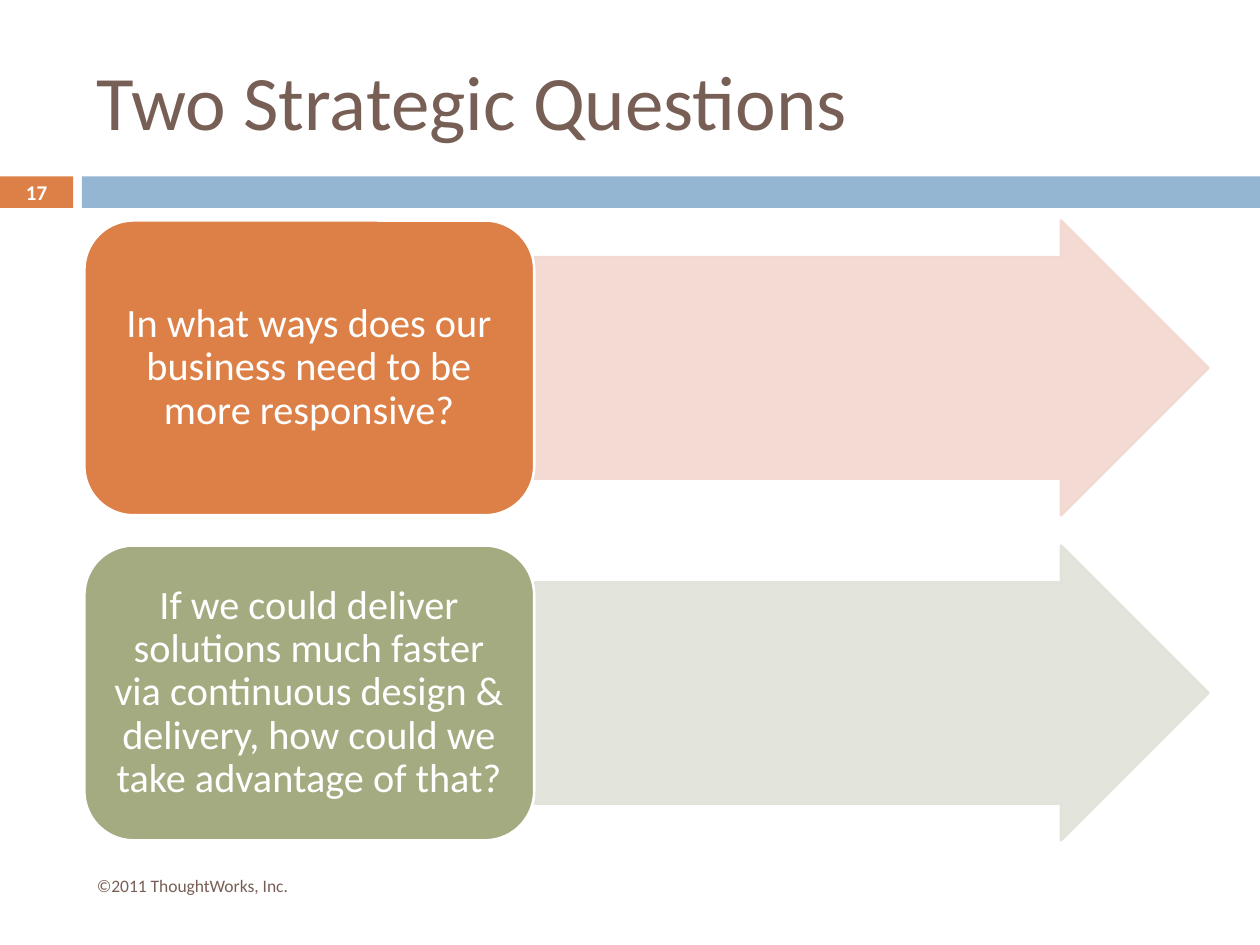
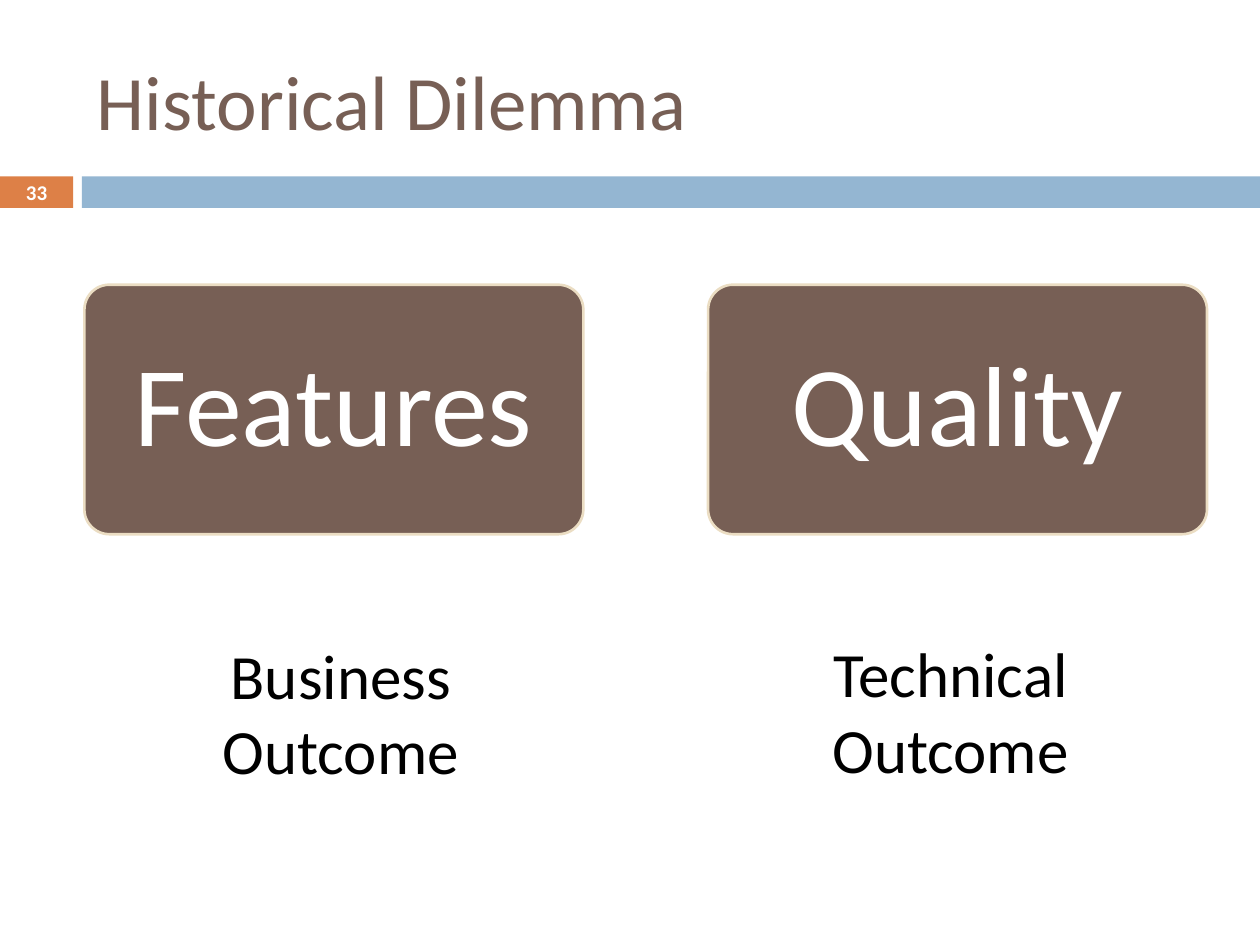
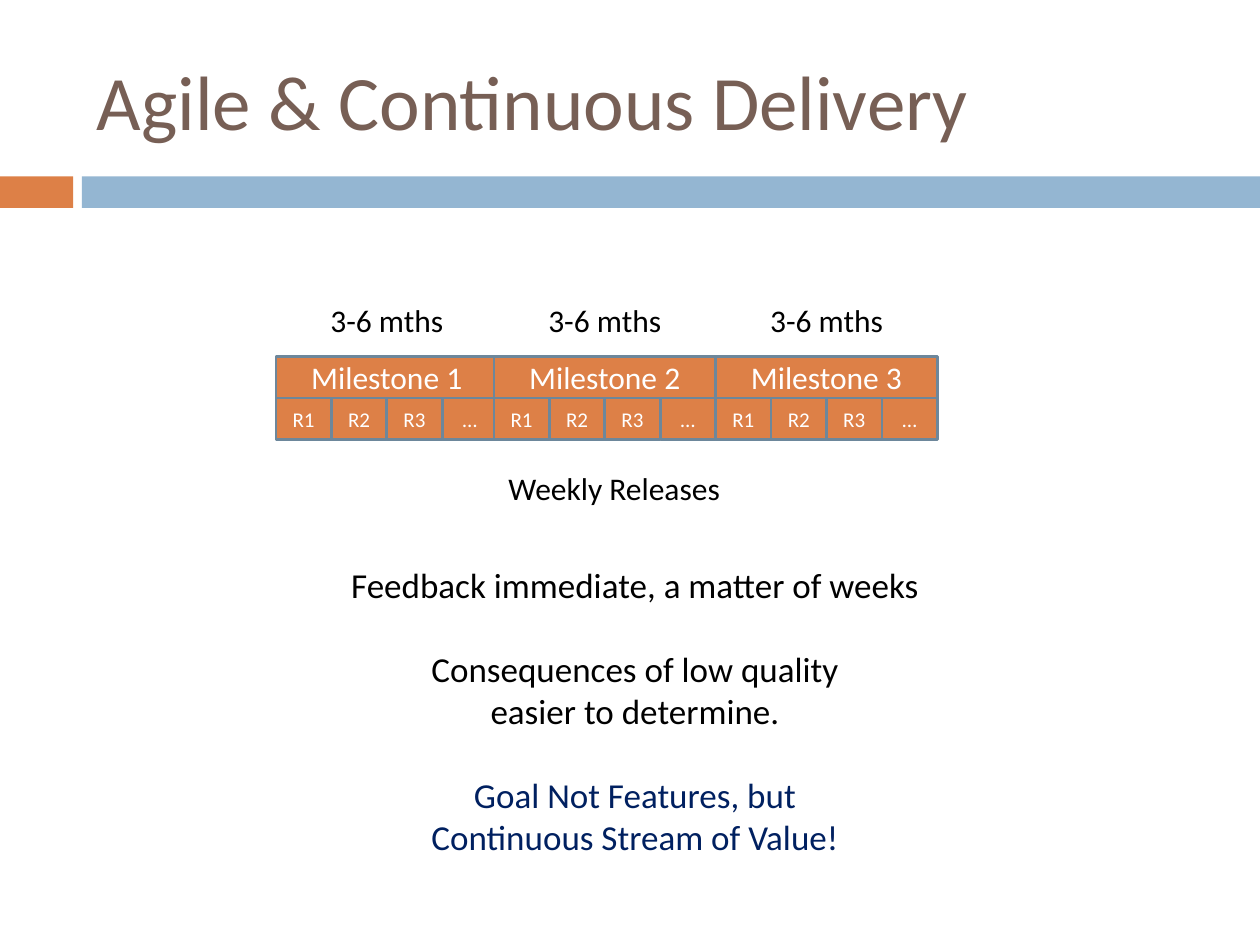
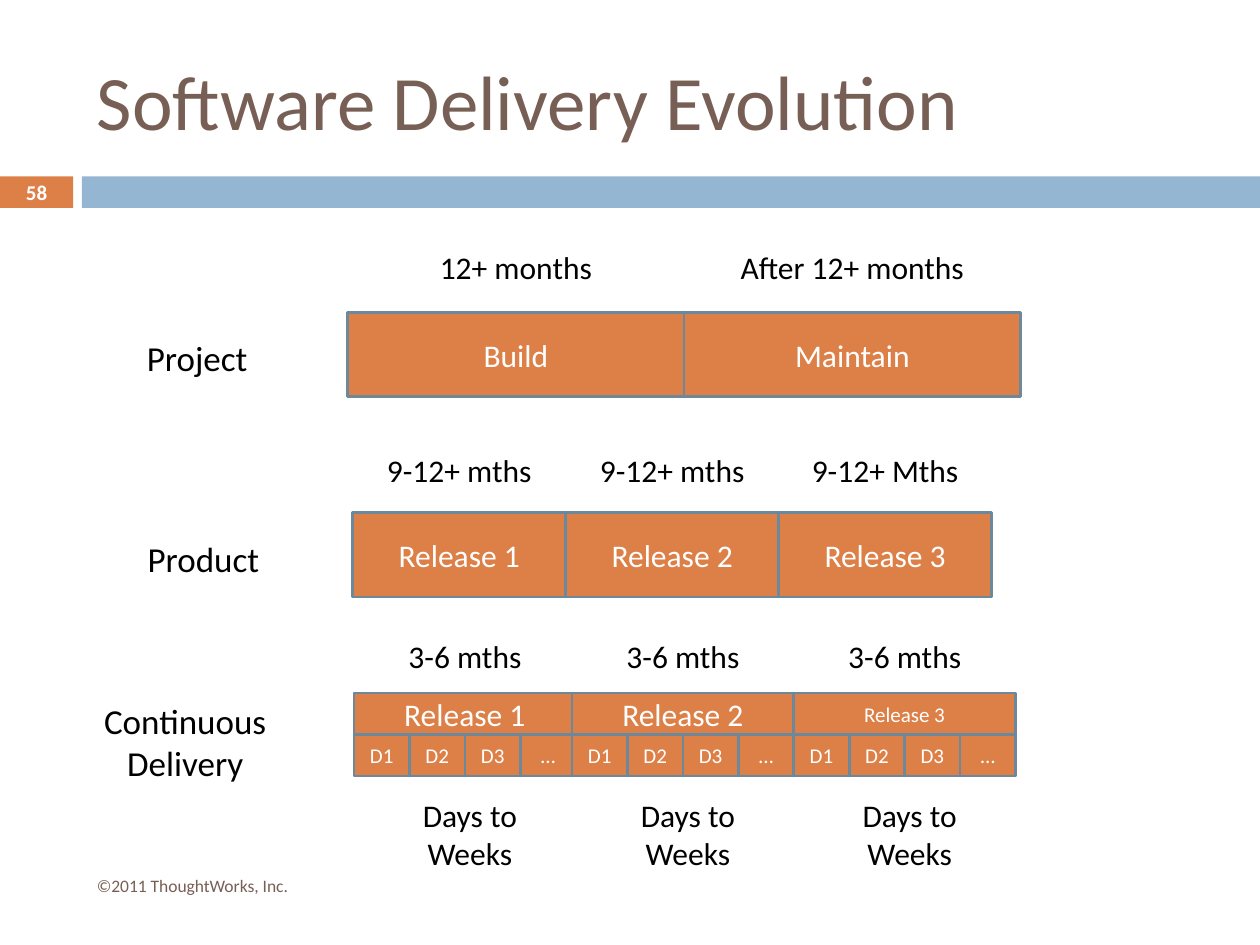
from lxml.etree import SubElement
from pptx import Presentation
from pptx.dml.color import RGBColor
from pptx.enum.shapes import MSO_SHAPE as Preset
from pptx.enum.text import MSO_ANCHOR as Anchor, PP_ALIGN as Align
from pptx.oxml.ns import qn
from pptx.util import Inches, Pt

FONT = "Calibri"
WHITE, BLACK, NAVY = "FFFFFF", "000000", "002060"
BROWN, ORANGE, BLUE, OLIVE = "775F55", "DD8047", "94B6D2", "A5AB81"
PALE_ORANGE, PALE_OLIVE, CREAM, SLATE = "F2D8CF", "E1E2D8", "EBDDC3", "6D879B"
COPYRIGHT = "©2011 ThoughtWorks, Inc."

QUESTIONS = [
    ("In what ways does our business need to be more responsive?",
     ORANGE, PALE_ORANGE),
    ("If we could deliver solutions much faster via continuous design & "
     "delivery, how could we take advantage of that?", OLIVE, PALE_OLIVE),
]
# quality, outcome, left of the outcome, top of the outcome
DILEMMA = [
    ("Features", "Business Outcome", 1.08, 5),
    ("Quality", "Technical Outcome", 5.92, 4.99),
]
MILESTONES = [("Milestone 1", 18), ("Milestone 2", 18), ("Milestone 3", 18)]
WEEKS = ["R1", "R2", "R3", "…"]
CONCLUSIONS = [
    ("Feedback immediate, a matter of weeks", BLACK),
    ("Consequences of low quality\neasier to determine.", BLACK),
    ("Goal Not Features, but\nContinuous Stream of Value!", NAVY),
]
# name, then its left, top and width; blocks with durations and label widths
EVOLUTION = [
    dict(name="Project", name_at=(1.03, 2.62, 1.07), left=2.76, top=2.48,
         width=2.67, label_top=1.92,
         blocks=[("Build", "12+ months", 1.53),
                 ("Maintain", "After 12+ months", 2.13)]),
    dict(name="Product", name_at=(1.03, 4.22, 1.17), left=2.8, top=4.07,
         width=1.69, label_top=3.53,
         blocks=[("Release 1", "9-12+ mths", 1.47),
                 ("Release 2", "9-12+ mths", 1.47),
                 ("Release 3", "9-12+ Mths", 1.47)]),
]
RELEASES = [("Release 1", 18), ("Release 2", 18), ("Release 3", 12)]
DEPLOYMENTS = ["D1", "D2", "D3", "…"]

GROUP_OFFSETS = (0, 1.73, 3.49)
GROUP_WIDTH, CELL_HEIGHT = 1.76, 0.33


def color(value):
    return RGBColor.from_string(value)


def set_opacity(shape, percent):
    for element in shape._element.spPr.iter(qn("a:srgbClr")):
        SubElement(element, qn("a:alpha")).set("val", str(percent * 1000))


def write(shape, paragraphs, size=18, ink=BLACK, bold=False, align=Align.CENTER,
          anchor=Anchor.TOP, wrap=True, inset=(0.1, 0.05), spacing=None, gap=0):
    """Fill a shape with text: a string, or a list of (text, colour) pairs."""
    if isinstance(paragraphs, str):
        paragraphs = [(paragraphs, ink)]
    frame = shape.text_frame
    frame.word_wrap = wrap
    frame.vertical_anchor = anchor
    frame.margin_left = frame.margin_right = Inches(inset[0])
    frame.margin_top = frame.margin_bottom = Inches(inset[1])
    for index, (text, text_color) in enumerate(paragraphs):
        para = frame.add_paragraph() if index else frame.paragraphs[0]
        para.text = text
        para.alignment = align
        if spacing:
            para.line_spacing = spacing
        if index and gap:
            para.space_before = Pt(gap)
        for span in para.runs:
            span.font.name = FONT
            span.font.size = Pt(size)
            span.font.bold = bold
            span.font.color.rgb = color(text_color)


def add_text(page, text, left, top, width, height=0.4, **style):
    box = page.shapes.add_textbox(*map(Inches, (left, top, width, height)))
    write(box, text, **style)


def add_shape(page, preset, left, top, width, height, fill, line=None,
              adjustments=(), text="", **style):
    shape = page.shapes.add_shape(
        preset, *map(Inches, (left, top, width, height)))
    shape.shadow.inherit = False
    shape.fill.solid()
    shape.fill.fore_color.rgb = color(fill)
    if line:
        shape.line.color.rgb = color(line)
        shape.line.width = Pt(1.5)
    else:
        shape.line.fill.background()
    for index, value in enumerate(adjustments):
        shape.adjustments[index] = value
    if text:
        write(shape, text, ink=WHITE, anchor=Anchor.MIDDLE, **style)
    return shape


def add_label(page, text, center, top, width, **style):
    add_text(page, text, center - width / 2, top, width, wrap=False, **style)


def add_block(page, text, left, top, width, height, size=18):
    add_shape(page, Preset.RECTANGLE, left, top, width, height, ORANGE, SLATE,
              text=text, size=size)


def add_page(deck, title, number="", footer=False):
    page = deck.slides.add_slide(deck.slide_layouts[6])
    add_shape(page, Preset.RECTANGLE, 0, 1.4, 0.58, 0.25, ORANGE,
              text=number, size=12, bold=True)
    add_shape(page, Preset.RECTANGLE, 0.65, 1.4, 9.35, 0.25, BLUE)
    add_text(page, title, 0.67, 0.25, 8.92, 1.08, size=44, ink=BROWN,
             align=Align.LEFT, anchor=Anchor.MIDDLE)
    if footer:
        add_text(page, COPYRIGHT, 0.67, 6.83, 5.93, size=10, ink=BROWN,
                 align=Align.LEFT, anchor=Anchor.MIDDLE)
    return page


def add_groups(page, left, top, headings, cells):
    """Draw headed groups of small cells, each with its duration above."""
    step = GROUP_WIDTH / len(cells)
    for offset, (heading, size) in zip(GROUP_OFFSETS, headings):
        start = left + offset
        add_label(page, "3-6 mths", start + GROUP_WIDTH / 2, top - 0.49, 1.18)
        add_block(page, heading, start, top, GROUP_WIDTH, CELL_HEIGHT, size)
        for index, cell in enumerate(cells):
            add_block(page, cell, start + index * step, top + CELL_HEIGHT,
                      step, CELL_HEIGHT, 12)


def questions_page(deck):
    page = add_page(deck, "Two Strategic Questions", "17", footer=True)
    for index, (question, fill, pale) in enumerate(QUESTIONS):
        top = 1.75 + index * 2.58
        arrow = add_shape(page, Preset.RIGHT_ARROW, 4.24, top, 5.35, 2.34,
                          pale, pale, adjustments=(0.75, 0.5))
        set_opacity(arrow, 90)
        add_shape(page, Preset.ROUNDED_RECTANGLE, 0.67, top, 3.57, 2.34, fill,
                  WHITE, text=question, size=23, spacing=0.9)


def dilemma_page(deck):
    page = add_page(deck, "Historical Dilemma", "33")
    for index, (quality, outcome, left, top) in enumerate(DILEMMA):
        add_shape(page, Preset.ROUNDED_RECTANGLE, 0.67 + index * 4.95, 2.26,
                  3.96, 1.98, BROWN, CREAM, adjustments=(0.1,), text=quality,
                  size=65, spacing=0.9, inset=(0.14, 0.09))
        add_text(page, outcome, left, top, 3.25, 1.31, size=36)


def agile_page(deck):
    page = add_page(deck, "Agile & Continuous Delivery")
    add_groups(page, 2.19, 2.83, MILESTONES, WEEKS)
    add_text(page, "Weekly Releases", 3.8, 3.67, 2.15, wrap=False)
    add_text(page, CONCLUSIONS, 1.75, 4.42, 6.58, 2.46, size=20, gap=24)


def evolution_page(deck):
    page = add_page(deck, "Software Delivery Evolution", "58", footer=True)
    for row in EVOLUTION:
        add_text(page, row["name"], *row["name_at"], 0.44, size=20, wrap=False)
        for index, (text, duration, label_width) in enumerate(row["blocks"]):
            left, width = row["left"] + index * row["width"], row["width"]
            add_block(page, text, left, row["top"], width, 0.67)
            add_label(page, duration, left + width / 2, row["label_top"],
                      label_width)
    add_text(page, "Continuous\nDelivery", 0.62, 5.5, 1.7, 0.77, size=20,
             wrap=False)
    add_groups(page, 2.81, 5.5, RELEASES, DEPLOYMENTS)
    for offset in GROUP_OFFSETS:
        add_label(page, "Days to\nWeeks", 3.73 + offset, 6.27, 1.13,
                  height=0.71)


def main():
    deck = Presentation()
    deck.slide_width, deck.slide_height = Inches(10), Inches(7.5)
    for build in (questions_page, dilemma_page, agile_page, evolution_page):
        build(deck)
    deck.save("out.pptx")


if __name__ == "__main__":
    main()
